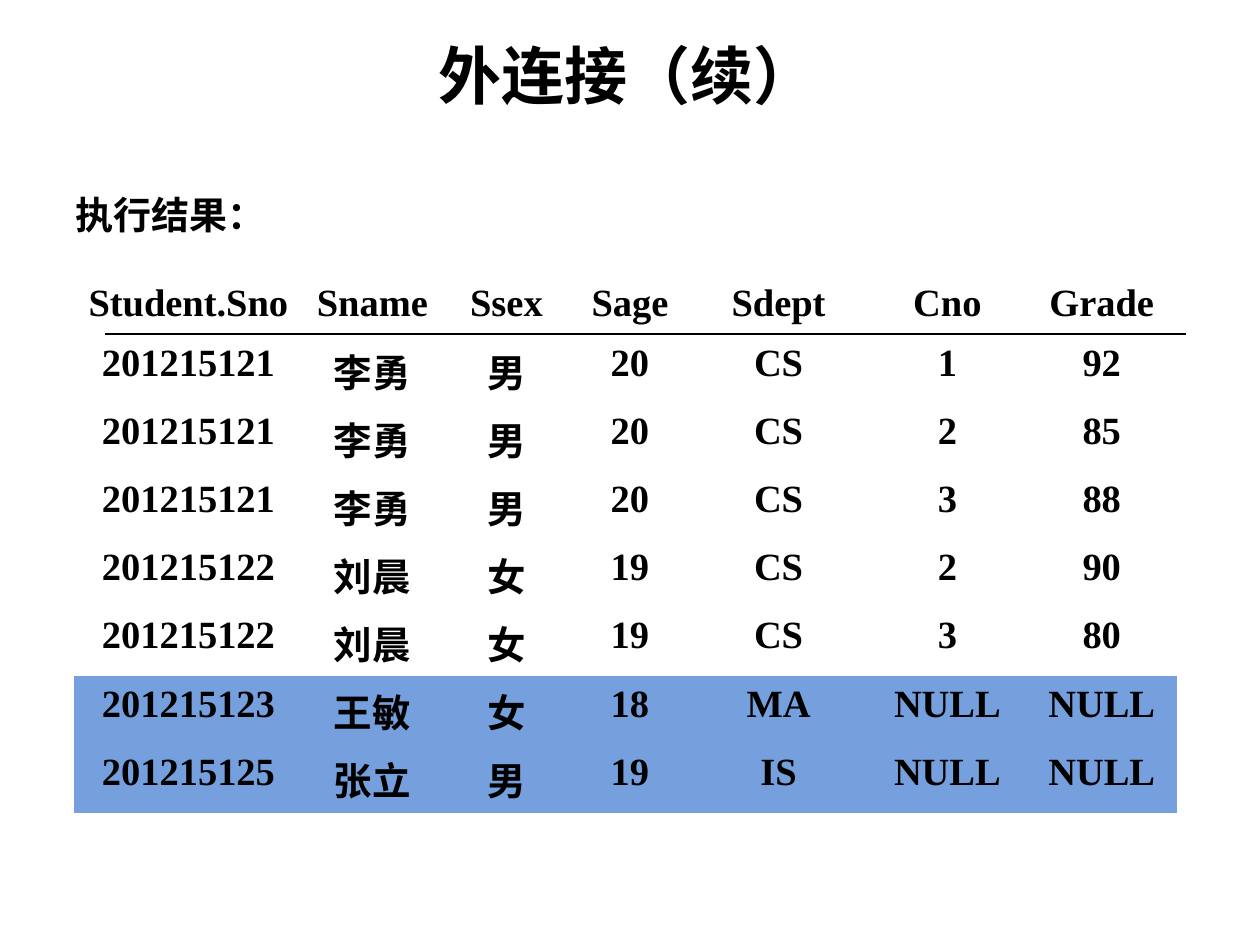
"""Build the outer join result slide."""
from pptx import Presentation
from pptx.dml.color import RGBColor
from pptx.enum.shapes import MSO_CONNECTOR
from pptx.enum.text import MSO_ANCHOR, PP_ALIGN
from pptx.oxml.ns import qn
from pptx.util import Inches, Pt
from lxml import etree

CENTER = PP_ALIGN.CENTER
JUSTIFY = PP_ALIGN.JUSTIFY
MIDDLE = MSO_ANCHOR.MIDDLE
TOP = MSO_ANCHOR.TOP
STRAIGHT = MSO_CONNECTOR.STRAIGHT

COLORS = {"text": "000000", "mark": "75A0DD", "back": "FFFFFF"}


def color(name):
    return RGBColor.from_string(COLORS[name])


def write(frame, text, size, face, align):
    para = frame.paragraphs[0]
    para.alignment = align
    run = para.add_run()
    run.text = text
    run.font.size = Pt(size)
    run.font.name = face
    run.font.bold = True
    run.font.color.rgb = color("text")


deck = Presentation()
deck.slide_width, deck.slide_height = Inches(10), Inches(7.5)
slide = deck.slides.add_slide(deck.slide_layouts[6])
slide.background.fill.solid()
slide.background.fill.fore_color.rgb = color("back")

labels = [
    ("外连接（续）", 0.94, 0.28, 8.08, 0.62, 36, CENTER, MIDDLE),
    ("执行结果：", 0.5, 1.47, 4.42, 0.49, 21.7, JUSTIFY, TOP),
]
for text, left, top, width, height, size, align, anchor in labels:
    box = slide.shapes.add_textbox(Inches(left), Inches(top), Inches(width), Inches(height))
    frame = box.text_frame
    frame.word_wrap = True
    frame.vertical_anchor = anchor
    write(frame, text, size, "Arial", align)

rows = [
    ("Student.Sno", "Sname", "Ssex", "Sage", "Sdept", "Cno", "Grade"),
    ("201215121", "李勇", "男", "20", "CS", "1", "92"),
    ("201215121", "李勇", "男", "20", "CS", "2", "85"),
    ("201215121", "李勇", "男", "20", "CS", "3", "88"),
    ("201215122", "刘晨", "女", "19", "CS", "2", "90"),
    ("201215122", "刘晨", "女", "19", "CS", "3", "80"),
    ("201215123", "王敏", "女", "18", "MA", "NULL", "NULL"),
    ("201215125", "张立", "男", "19", "IS", "NULL", "NULL"),
]
widths = [1.81, 1.11, 1.02, 0.94, 1.42, 1.26, 1.19]
heights = [0.48] + [0.54] * (len(rows) - 1)
grid = slide.shapes.add_table(
    len(rows), len(widths), Inches(0.59), Inches(2.19), Inches(sum(widths)), Inches(sum(heights))
).table
grid.first_row = False
grid.horz_banding = False
for col, width in zip(grid.columns, widths):
    col.width = Inches(width)
for r, row in enumerate(rows):
    grid.rows[r].height = Inches(heights[r])
    for c, text in enumerate(row):
        cell = grid.cell(r, c)
        write(cell.text_frame, text, 22, "Times New Roman", CENTER)
        props = cell._tc.get_or_add_tcPr()
        for side in ("a:lnL", "a:lnR", "a:lnT", "a:lnB"):
            edge = etree.SubElement(props, qn(side), w="0")
            etree.SubElement(edge, qn("a:noFill"))
        if "NULL" in row:
            cell.fill.solid()
            cell.fill.fore_color.rgb = color("mark")
        else:
            cell.fill.background()

rule = slide.shapes.add_connector(STRAIGHT, Inches(0.83), Inches(2.65), Inches(9.41), Inches(2.65))
rule.line.color.rgb = color("text")
rule.line.width = Pt(0.75)
etree.SubElement(rule._element.spPr, qn("a:effectLst"))

deck.save("out.pptx")
